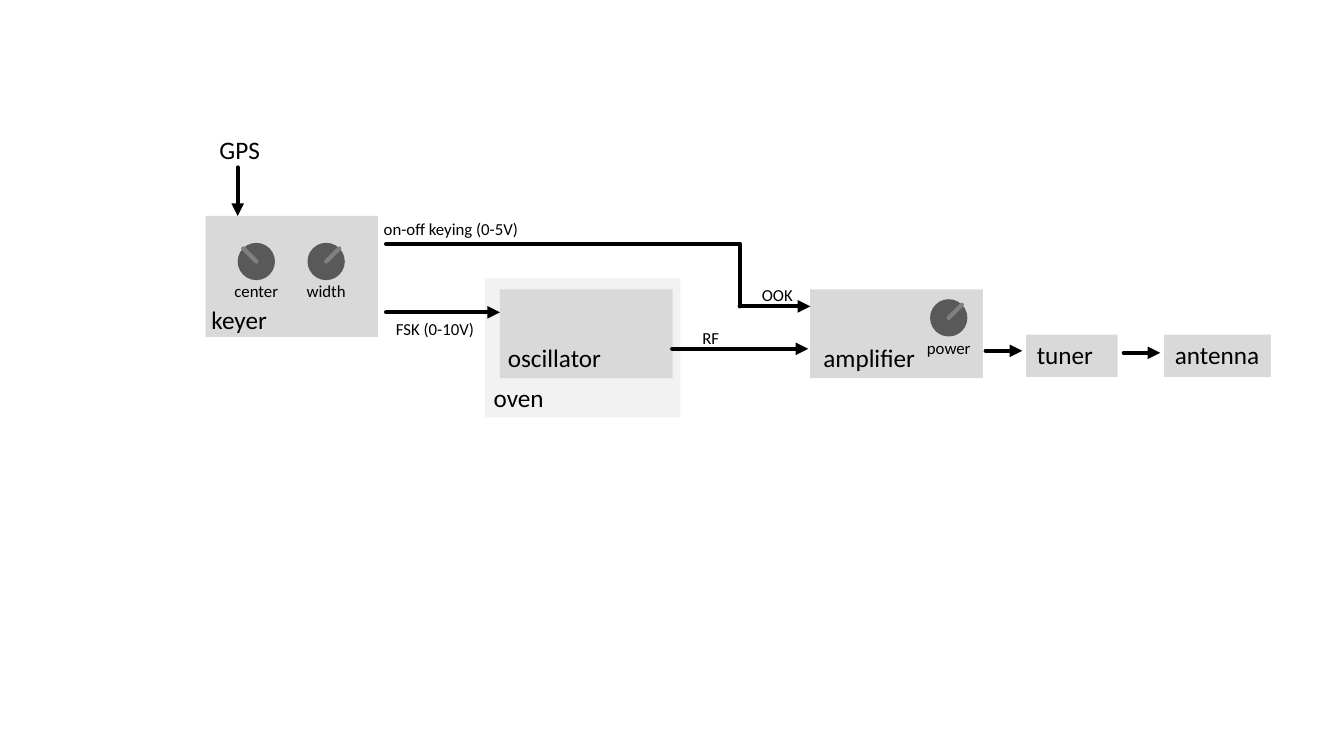
from lxml import etree
from pptx import Presentation
from pptx.dml.color import RGBColor
from pptx.enum.shapes import MSO_CONNECTOR, MSO_SHAPE
from pptx.enum.text import MSO_AUTO_SIZE, PP_ALIGN
from pptx.oxml.ns import qn
from pptx.util import Cm, Pt

RECT, OVAL = MSO_SHAPE.RECTANGLE, MSO_SHAPE.OVAL
STRAIGHT = MSO_CONNECTOR.STRAIGHT
FIT = MSO_AUTO_SIZE.SHAPE_TO_FIT_TEXT
LEFT, CENTER = PP_ALIGN.LEFT, PP_ALIGN.CENTER

FONT = "Calibri"
BLACK, BLOCK, OVEN = "000000", "D9D9D9", "F2F2F2"
KNOB, POINTER = "595959", "808080"
KNOB_RADIUS, POINTER_REACH = 0.47, 0.33
NAME_SIZE, LABEL_SIZE = 18, 12

BLOCKS = [
    (12.22, 7.01, 4.93, 3.51, OVEN),
    (5.18, 5.44, 4.35, 3.05, BLOCK),
    (12.6, 7.29, 4.35, 2.24, BLOCK),
    (20.42, 7.29, 4.35, 2.24, BLOCK),
    (25.86, 8.43, 2.31, 1.07, BLOCK),
    (29.34, 8.43, 2.69, 1.07, BLOCK),
]
NAMES = [
    ("GPS", 5.28, 3.25, 1.55),
    ("keyer", 5.08, 7.54, 1.93),
    ("oscillator", 12.55, 8.51, 2.9),
    ("oven", 12.19, 9.5, 1.8),
    ("amplifier", 20.5, 8.51, 2.84),
    ("tuner", 25.88, 8.43, 1.96),
    ("antenna", 29.36, 8.43, 2.67),
]
SIGNALS = [
    ("on-off keying (0-5V)", 9.42, 5.38, 3.94),
    ("FSK (0-10V)", 9.73, 7.9, 2.49),
    ("OOK", 18.95, 7.04, 1.3),
    ("RF", 17.45, 8.13, 0.94),
]
WIRES = [
    [(5.99, 4.22), (5.99, 5.44)],
    [(9.73, 7.87), (12.6, 7.87)],
    [(9.73, 6.15), (18.64, 6.15), (18.64, 7.72), (20.42, 7.72)],
    [(16.94, 8.79), (20.37, 8.79)],
    [(24.84, 8.84), (25.76, 8.84)],
    [(28.32, 8.89), (29.24, 8.89)],
]
KNOBS = [
    ("center", 6.46, 6.59, -1, 1.63),
    ("width", 8.22, 6.59, 1, 1.5),
    ("power", 23.91, 8.01, 1, 1.63),
]


def rgb(color):
    return RGBColor.from_string(color)


def add_block(s, kind, x, y, w, h, color):
    sp = s.shapes.add_shape(kind, Cm(x), Cm(y), Cm(w), Cm(h))
    sp.shadow.inherit = False
    sp.fill.solid()
    sp.fill.fore_color.rgb = rgb(color)
    sp.line.fill.background()


def add_text(s, text, x, y, w, size, align=LEFT):
    h = 1.02 if size == NAME_SIZE else 0.76
    tf = s.shapes.add_textbox(Cm(x), Cm(y), Cm(w), Cm(h)).text_frame
    tf.word_wrap = False
    tf.auto_size = FIT
    p = tf.paragraphs[0]
    p.text = text
    p.alignment = align
    p.font.name = FONT
    p.font.size = Pt(size)
    p.font.color.rgb = rgb(BLACK)


def add_line(s, start, end, color, arrow=False):
    c = s.shapes.add_connector(STRAIGHT, *map(Cm, start + end))
    c.line.color.rgb = rgb(color)
    c.line.width = Pt(3)
    ln = c.line._get_or_add_ln()
    ln.set("cap", "rnd")
    if arrow:
        etree.SubElement(ln, qn("a:tailEnd"), type="triangle")
    etree.SubElement(c._element.spPr, qn("a:effectLst"))


def add_wire(s, points):
    last = len(points) - 2
    for i, (start, end) in enumerate(zip(points, points[1:])):
        add_line(s, start, end, BLACK, arrow=i == last)


def add_knob(s, label, x, y, side, w):
    r = KNOB_RADIUS
    add_block(s, OVAL, x - r, y - r, 2 * r, 2 * r, KNOB)
    tip = (x + side * POINTER_REACH, y - POINTER_REACH)
    add_line(s, tip, (x, y), POINTER)
    add_text(s, label, x - w / 2, y + 0.37, w, LABEL_SIZE, CENTER)


def main():
    prs = Presentation()
    prs.slide_width, prs.slide_height = Cm(33.87), Cm(19.05)
    s = prs.slides.add_slide(prs.slide_layouts[6])
    for block in BLOCKS:
        add_block(s, RECT, *block)
    for points in WIRES:
        add_wire(s, points)
    for name in NAMES:
        add_text(s, *name, NAME_SIZE)
    for signal in SIGNALS:
        add_text(s, *signal, LABEL_SIZE)
    for knob in KNOBS:
        add_knob(s, *knob)
    prs.save("out.pptx")


main()
